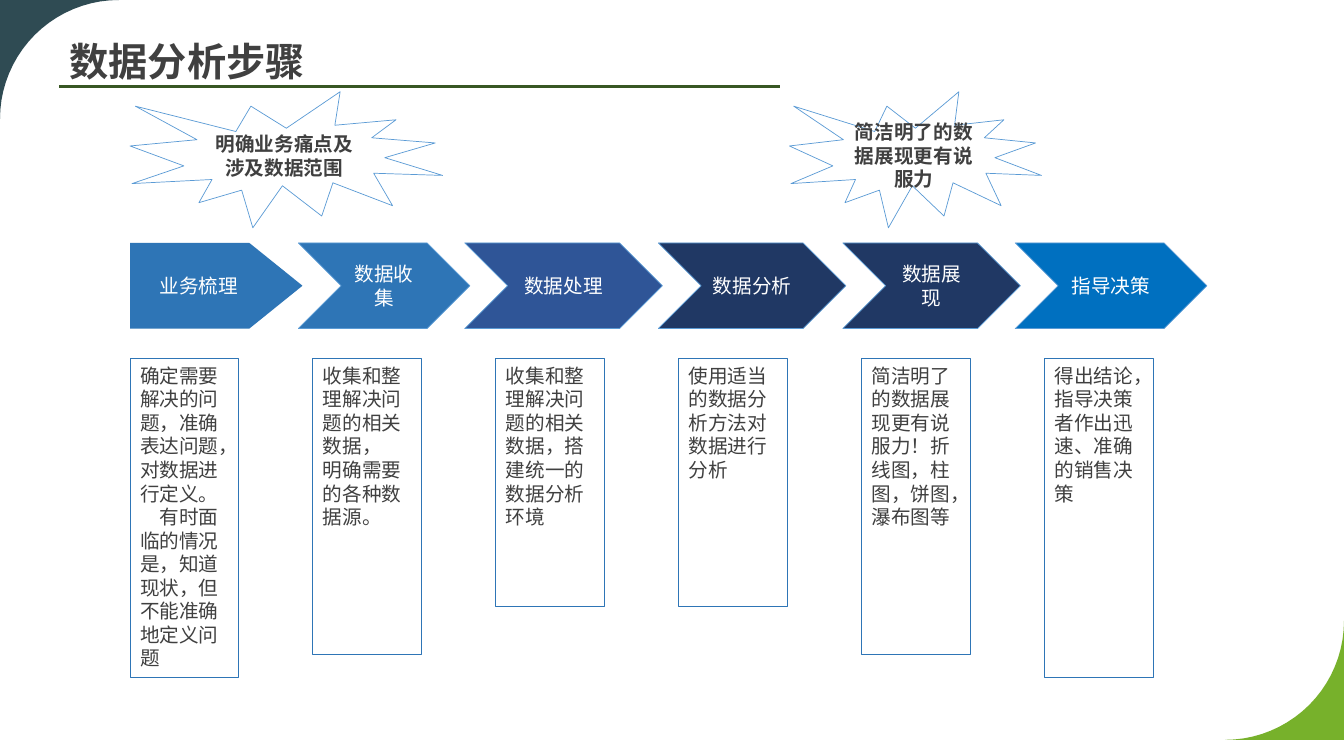
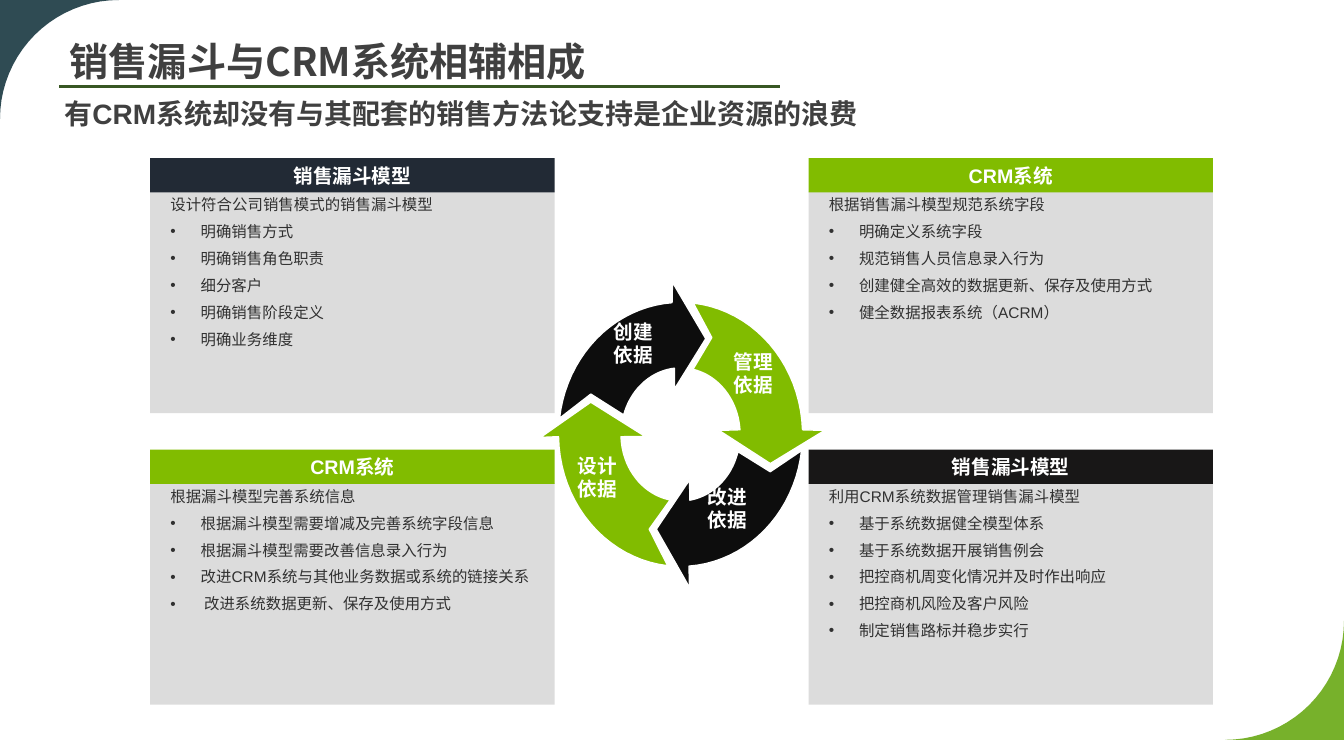
from math import cos, radians, sin

from lxml import etree
from pptx import Presentation
from pptx.dml.color import RGBColor
from pptx.enum.shapes import MSO_CONNECTOR, MSO_SHAPE
from pptx.enum.text import MSO_ANCHOR, PP_ALIGN
from pptx.oxml.ns import qn
from pptx.util import Inches, Pt

RECTANGLE = MSO_SHAPE.RECTANGLE
PENTAGON = MSO_SHAPE.PENTAGON
CHEVRON = MSO_SHAPE.CHEVRON
BURST = MSO_SHAPE.EXPLOSION1
STRAIGHT = MSO_CONNECTOR.STRAIGHT
TOP, MIDDLE = MSO_ANCHOR.TOP, MSO_ANCHOR.MIDDLE
LEFT, CENTER = PP_ALIGN.LEFT, PP_ALIGN.CENTER

WHITE = RGBColor(0xFF, 0xFF, 0xFF)
TEXT = RGBColor(0x40, 0x40, 0x40)
PANEL_TEXT = RGBColor(0x31, 0x31, 0x31)
PANEL_FILL = RGBColor(0xDC, 0xDC, 0xDC)
CORNER_TEAL = RGBColor(0x2F, 0x4B, 0x53)
CORNER_GREEN = RGBColor(0x77, 0xB1, 0x2B)
RULE_GREEN = RGBColor(0x38, 0x57, 0x23)
BLUE = RGBColor(0x2E, 0x75, 0xB6)
LIGHT_BLUE = RGBColor(0x5B, 0x9B, 0xD5)
ROYAL_BLUE = RGBColor(0x2F, 0x55, 0x97)
NAVY = RGBColor(0x20, 0x38, 0x64)
BRIGHT_BLUE = RGBColor(0x00, 0x70, 0xC0)
LIME = RGBColor(0x81, 0xBC, 0x00)
SLATE = RGBColor(0x22, 0x2A, 0x35)
CHARCOAL = RGBColor(0x18, 0x17, 0x17)
BLACK = RGBColor(0x0D, 0x0D, 0x0D)

TITLE_FONT, BODY_FONT, LABEL_FONT = "Noto Sans CJK SC", "Arial", "Calibri"


def arc(center, radii, start, end, steps=20):
    """Points on an ellipse; angles in degrees, clockwise from the right."""
    angles = [radians(start + (end - start) * i / steps) for i in range(steps + 1)]
    return [(center[0] + radii[0] * cos(angle), center[1] + radii[1] * sin(angle))
            for angle in angles]


class Deck:
    def __init__(self):
        self.presentation = Presentation()
        self.presentation.slide_width = Inches(13.33)
        self.presentation.slide_height = Inches(7.5)
        self.slide = None

    def new_slide(self, title):
        """Start a slide with the shared corners, rule and title."""
        layout = self.presentation.slide_layouts[5]
        self.slide = self.presentation.slides.add_slide(layout)
        radii = (1.18, 1.18)
        self.outline([(0, 0)] + arc((1.18, 1.18), radii, 270, 180), CORNER_TEAL)
        self.outline([(13.33, 7.34)] + arc((12.15, 6.16), radii, 90, 0), CORNER_GREEN)
        self.rule(0.59, 0.86, 7.74)
        placeholder = self.slide.shapes.title
        placeholder.left, placeholder.top = Inches(0.59), Inches(0.37)
        placeholder.width, placeholder.height = Inches(7.38), Inches(0.61)
        self.set_text(placeholder, [title], 28, TEXT, TITLE_FONT, bold=True, spacing=0.9)

    def rule(self, left, top, right):
        line = self.slide.shapes.add_connector(
            STRAIGHT, Inches(left), Inches(top), Inches(right), Inches(top))
        line.line.color.rgb = RULE_GREEN
        line.line.width = Pt(2.25)
        etree.SubElement(line._element.spPr, qn("a:effectLst"))

    def paint(self, shape, fill=None, line=None, line_width=0.5):
        shape.shadow.inherit = False
        if fill is None:
            shape.fill.background()
        else:
            shape.fill.solid()
            shape.fill.fore_color.rgb = fill
        if line is None:
            shape.line.fill.background()
        else:
            shape.line.color.rgb = line
            shape.line.width = Pt(line_width)

    def outline(self, points, fill, line=None, line_width=1):
        corners = [(Inches(x), Inches(y)) for x, y in points]
        builder = self.slide.shapes.build_freeform(*corners[0], scale=1)
        builder.add_line_segments(corners[1:], close=True)
        self.paint(builder.convert_to_shape(), fill, line, line_width)

    def shape(self, kind, box, fill=None, line=None, line_width=0.5):
        shape = self.slide.shapes.add_shape(kind, *map(Inches, box))
        self.paint(shape, fill, line, line_width)
        return shape

    def text_box(self, box, lines, size, color, font, **style):
        text_box = self.slide.shapes.add_textbox(*map(Inches, box))
        self.set_text(text_box, lines, size, color, font, **style)

    def set_text(self, shape, lines, size, color, font=BODY_FONT, bold=False,
                 align=LEFT, anchor=TOP, wrap=True, spacing=None, before=None,
                 margins=(0.1, 0.05, 0.1, 0.05)):
        """Fill a shape with one paragraph per line; margins run left, top, right, bottom."""
        frame = shape.text_frame
        frame.word_wrap = wrap
        frame.vertical_anchor = anchor
        (frame.margin_left, frame.margin_top,
         frame.margin_right, frame.margin_bottom) = map(Inches, margins)
        for index, line in enumerate(lines):
            paragraph = frame.add_paragraph() if index else frame.paragraphs[0]
            paragraph.alignment = align
            if spacing is not None:
                paragraph.line_spacing = spacing
            if before is not None:
                paragraph.space_before = Pt(before)
            run = paragraph.add_run()
            run.text = line
            run.font.size = Pt(size)
            run.font.name = font
            run.font.bold = bold
            run.font.color.rgb = color

    def bullet(self, paragraph):
        paragraph.level = 1
        properties = paragraph._p.get_or_add_pPr()
        properties.set("marL", str(Inches(0.3)))
        properties.set("indent", str(-Inches(0.3)))
        etree.SubElement(properties, qn("a:buFont")).set("typeface", BODY_FONT)
        etree.SubElement(properties, qn("a:buChar")).set("char", "•")

    def panel(self, left, top, heading, color, lines):
        """A coloured heading over a grey body: an opening line, then bullets."""
        margin = 0.04
        body = self.shape(RECTANGLE, (left, top + 0.33, 4.01, 2.2), PANEL_FILL)
        self.set_text(body, lines, 11, PANEL_TEXT, before=6,
                      margins=(0.2, margin, margin, margin))
        for paragraph in body.text_frame.paragraphs[1:]:
            self.bullet(paragraph)
        header = self.shape(RECTANGLE, (left, top, 4.01, 0.34), color)
        self.set_text(header, [heading], 14, WHITE, bold=True, align=CENTER,
                      anchor=MIDDLE, margins=(margin,) * 4)

    def burst(self, left, width, text):
        shape = self.shape(BURST, (left, 0.91, width, 1.35), line=LIGHT_BLUE)
        self.set_text(shape, [text], 14, TEXT, bold=True, align=CENTER, anchor=MIDDLE)

    def ring_arrow(self, color, inner, head, outer, notch):
        """A ring segment: inner arc, arrowhead corners, outer arc back, tail notch."""
        center = (6.75, 4.31)
        points = arc(center, (0.59, 0.66), *inner) + head
        points += arc(center, (1.21, 1.31), *outer) + [notch]
        self.outline(points, color, WHITE)


def build_steps(deck):
    deck.new_slide("数据分析步骤")
    # arrow left, arrow width, fill, arrow text, box height, box text
    steps = [
        (1.29, 1.71, BLUE, "　业务梳理", 3.16,
         "确定需要解决的问题，准确表达问题，对数据进行定义。　有时面临的情况是，知道现状，但不能准确地定义问题"),
        (2.96, 1.7, BLUE, "数据收集", 2.93,
         "收集和整理解决问题的相关数据，　明确需要的各种数据源。"),
        (4.61, 1.96, ROYAL_BLUE, "数据处理", 2.46,
         "收集和整理解决问题的相关数据，搭建统一的数据分析环境"),
        (6.53, 1.86, NAVY, "数据分析", 2.46,
         "使用适当的数据分析方法对数据进行分析"),
        (8.36, 1.76, NAVY, "数据展现", 2.93,
         "简洁明了的数据展现更有说服力！折线图，柱图，饼图，瀑布图等"),
        (10.07, 1.9, BRIGHT_BLUE, "指导决策", 3.16,
         "得出结论，指导决策者作出迅速、准确的销售决策"),
    ]
    for index, (left, width, fill, name, height, detail) in enumerate(steps):
        first = index == 0
        arrow = deck.shape(PENTAGON if first else CHEVRON, (left, 2.41, width, 0.85),
                           fill, None if first else LIGHT_BLUE)
        if first:
            arrow.adjustments[0] = 0.62
        deck.set_text(arrow, [name], 14, WHITE, align=LEFT if first else CENTER,
                      anchor=MIDDLE, wrap=not first)
        box = deck.shape(RECTANGLE, (1.29 + 9.07 / 5 * index, 3.56, 1.08, height),
                         line=BLUE, line_width=0.75)
        deck.set_text(box, [detail], 14, TEXT)
    deck.burst(7.83, 2.5, "简洁明了的数据展现更有说服力")
    deck.burst(1.29, 3.1, "明确业务痛点及涉及数据范围")


def build_funnel(deck):
    deck.new_slide("销售漏斗与CRM系统相辅相成")
    deck.text_box((0.54, 0.95, 11.37, 0.42),
                  ["有CRM系统却没有与其配套的销售方法论支持是企业资源的浪费"],
                  20, TEXT, BODY_FONT, bold=True, spacing=0.9)

    ring_arrows = [
        (BLACK, (197, 264), [(6.69, 3.86), (7, 3.36), (6.67, 2.8)],
         (266, 187), (5.86, 3.91)),
        (BLACK, (15, 81), [(6.84, 4.76), (6.51, 5.25), (6.84, 5.83)],
         (86, 7), (7.64, 4.68)),
        (LIME, (100, 178), [(6.4, 4.33), (5.86, 3.99), (5.36, 4.34)],
         (179, 96), (6.44, 5.25)),
        (LIME, (282, 356), [(7.13, 4.27), (7.64, 4.6), (8.18, 4.27)],
         (358, 276), (7.06, 3.35)),
    ]
    for ring_arrow in ring_arrows:
        deck.ring_arrow(*ring_arrow)

    funnel, system = "销售漏斗模型", "CRM系统"
    panels = [
        (funnel, SLATE, ["设计符合公司销售模式的销售漏斗模型", "明确销售方式",
                         "明确销售角色职责", "细分客户", "明确销售阶段定义", "明确业务维度"]),
        (system, LIME, ["根据销售漏斗模型规范系统字段", "明确定义系统字段",
                        "规范销售人员信息录入行为",
                        "创建健全高效的数据更新、保存及使用方式", "健全数据报表系统（ACRM）"]),
        (system, LIME, ["根据漏斗模型完善系统信息",
                        "根据漏斗模型需要增减及完善系统字段信息",
                        "根据漏斗模型需要改善信息录入行为",
                        "改进CRM系统与其他业务数据或系统的链接关系",
                        " 改进系统数据更新、保存及使用方式"]),
        (funnel, CHARCOAL, ["利用CRM系统数据管理销售漏斗模型", "基于系统数据健全模型体系",
                            "基于系统数据开展销售例会", "把控商机周变化情况并及时作出响应",
                            "把控商机风险及客户风险", "制定销售路标并稳步实行"]),
    ]
    for index, panel in enumerate(panels):
        row, column = divmod(index, 2)
        deck.panel(1.49 + 6.53 * column, 1.57 + 2.89 * row, *panel)

    labels = [(5.99, 3.12, "创建"), (7.18, 3.42, "管理"),
              (6.92, 4.76, "改进"), (5.63, 4.45, "设计")]
    for left, top, action in labels:
        deck.text_box((left, top, 0.69, 0.71), [action, "依据"], 14, WHITE,
                      LABEL_FONT, bold=True, wrap=False)


def main():
    deck = Deck()
    build_steps(deck)
    build_funnel(deck)
    deck.presentation.save("out.pptx")


if __name__ == "__main__":
    main()
